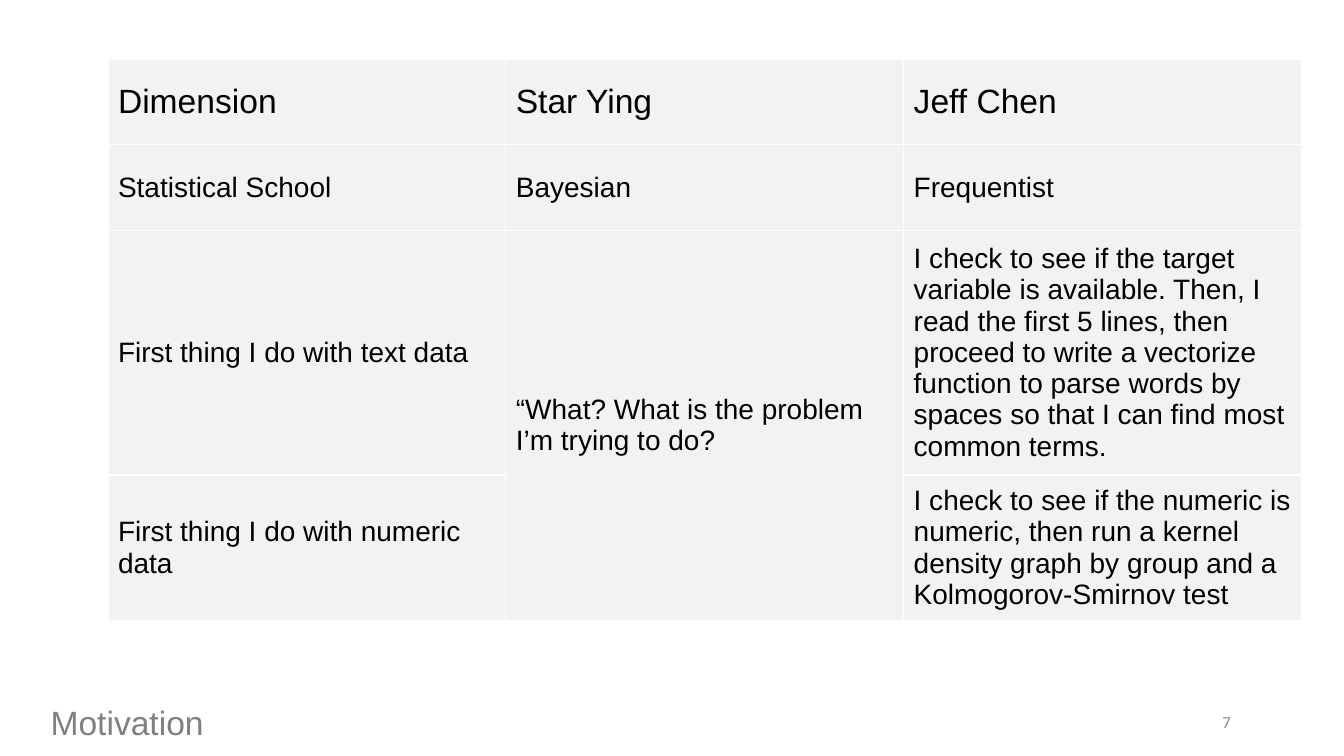
from lxml import etree
from pptx import Presentation
from pptx.dml.color import RGBColor
from pptx.enum.text import MSO_ANCHOR as Anchor, MSO_AUTO_SIZE as AutoSize, PP_ALIGN as Align
from pptx.oxml.ns import qn
from pptx.util import Cm, Pt

BLACK = RGBColor(0x00, 0x00, 0x00)
GREY = RGBColor(0x80, 0x80, 0x80)
NUMBER_GREY = RGBColor(0x8C, 0x8C, 0x8C)
CELL_GREY = RGBColor(0xF2, 0xF2, 0xF2)
WHITE = RGBColor(0xFF, 0xFF, 0xFF)

ROW_HEIGHTS = [2.15, 2.15, 6.17, 3.66]
ROWS = [
    ["Dimension", "Star Ying", "Jeff Chen"],
    ["Statistical School", "Bayesian", "Frequentist"],
    ["First thing I do with text data",
     "“What? What is the problem I’m trying to do?",
     "I check to see if the target variable is available. Then, I read the first 5 lines, "
     "then proceed to write a vectorize function to parse words by spaces so that I can "
     "find most common terms."],
    ["First thing I do with numeric data", "",
     "I check to see if the numeric is numeric, then run a kernel density graph by group "
     "and a Kolmogorov-Smirnov test"],
]


def write(tf, text, size, color, name="Arial", align=Align.LEFT):
    p = tf.paragraphs[0]
    p.alignment = align
    r = p.add_run()
    r.text = text
    r.font.color.rgb = color
    for key, value in {"size": Pt(size), "name": name, "bold": False}.items():
        setattr(r.font, key, value)


def add_borders(cell, color):
    tc_pr = cell._tc.get_or_add_tcPr()
    for side in ("a:lnL", "a:lnR", "a:lnT", "a:lnB"):
        ln = etree.SubElement(tc_pr, qn(side), w=str(Pt(1)))
        fill = etree.SubElement(ln, qn("a:solidFill"))
        etree.SubElement(fill, qn("a:srgbClr"), val=str(color))


def add_comparison(s, left, top, width):
    height = sum(ROW_HEIGHTS)
    table = s.shapes.add_table(
        len(ROWS), len(ROWS[0]), Cm(left), Cm(top), Cm(width), Cm(height)).table
    for key in ("first_row", "horz_banding"):
        setattr(table, key, False)
    for col in table.columns:
        col.width = Cm(width / len(ROWS[0]))
    for i, (row, row_height) in enumerate(zip(ROWS, ROW_HEIGHTS)):
        table.rows[i].height = Cm(row_height)
        for j, text in enumerate(row):
            cell = table.cell(i, j)
            add_borders(cell, WHITE)
            cell.fill.solid()
            cell.fill.fore_color.rgb = CELL_GREY
            cell.vertical_anchor = Anchor.MIDDLE
            if text:
                write(cell.text_frame, text, 20 if i else 24, BLACK)
    table.cell(2, 1).merge(table.cell(3, 1))


def add_footer(s, left, top, width, height):
    title = s.shapes.title
    box = {"left": left, "top": top, "width": 24.87, "height": height}
    for key, value in box.items():
        setattr(title, key, Cm(value))
    number = s.shapes.add_textbox(
        Cm(left + width - 7.62), Cm(top + 0.14), Cm(7.62), Cm(1.01))
    formats = {"word_wrap": True, "auto_size": AutoSize.NONE}
    for sp, anchor in ((title, Anchor.TOP), (number, Anchor.MIDDLE)):
        for key, value in {**formats, "vertical_anchor": anchor}.items():
            setattr(sp.text_frame, key, value)
    write(title.text_frame, "Motivation", 24, GREY)
    write(number.text_frame, "7", 12, NUMBER_GREY, "Calibri", Align.RIGHT)


def main():
    prs = Presentation()
    prs.slide_width, prs.slide_height = Cm(33.87), Cm(19.05)
    s = prs.slides.add_slide(prs.slide_layouts[5])
    add_footer(s, 1.02, 17.55, 30.25, 1.27)
    add_comparison(s, 2.72, 1.5, 30.08)
    prs.save("out.pptx")


if __name__ == "__main__":
    main()
